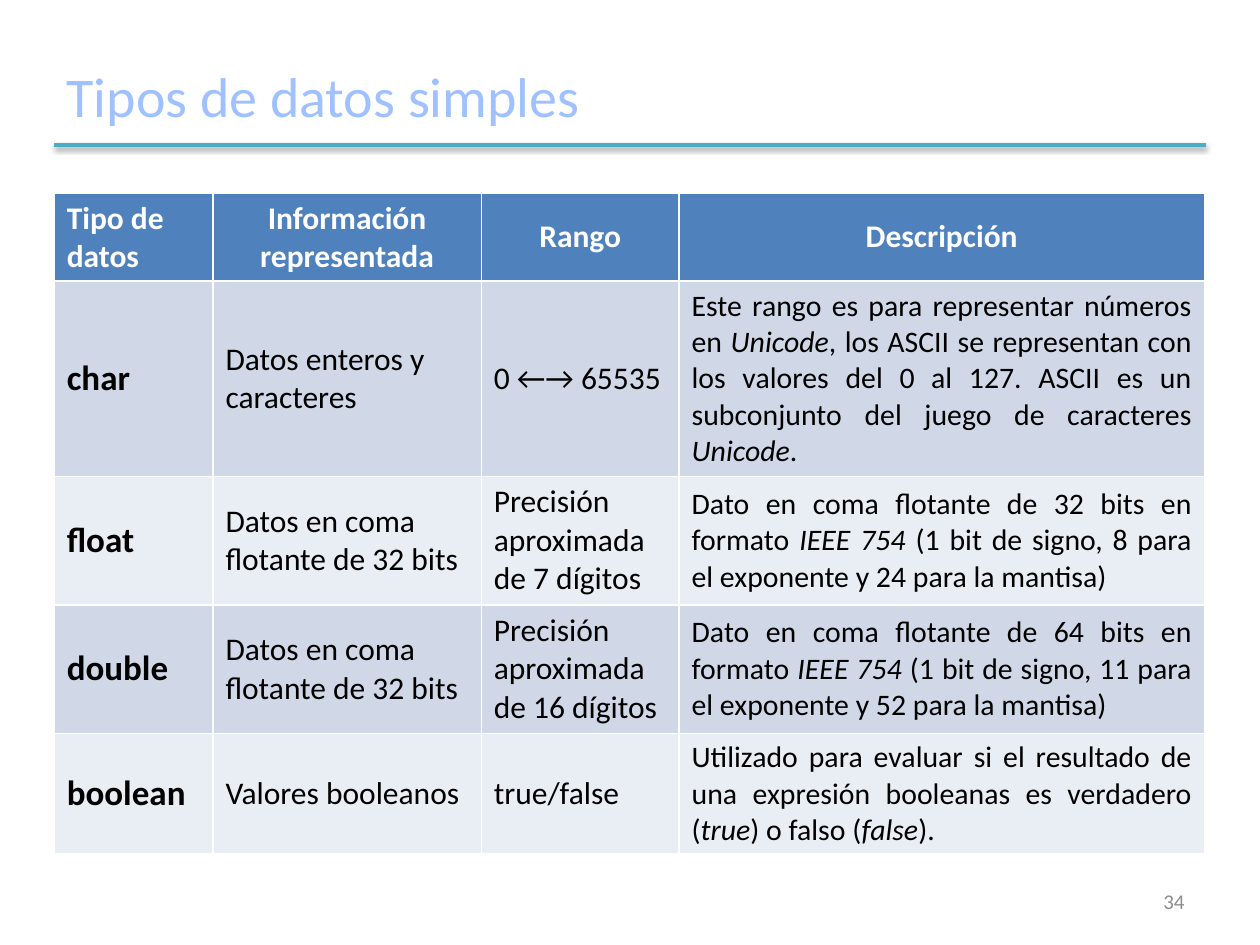
from lxml import etree
from pptx import Presentation
from pptx.dml.color import RGBColor
from pptx.enum.shapes import MSO_CONNECTOR
from pptx.enum.text import MSO_ANCHOR, PP_ALIGN as Align
from pptx.oxml import parse_xml
from pptx.oxml.ns import nsdecls
from pptx.util import Inches, Pt

COLORS = {
    "title": "A0C1FF", "rule": "4BACC6", "header": "4F81BD",
    "band_dark": "D0D8E8", "band_light": "E9EDF4",
    "white": "FFFFFF", "black": "000000", "number": "8C8C8C",
}
FONT = "Calibri"
LEFT, RIGHT = 0.43, 9.57
COLUMN_WIDTHS = [1.26, 2.13, 1.57, 4.17]
ROW_HEIGHTS = [0.7, 1.55, 1.02, 1.02, 0.96]
BODY_SIZES = [20, 18, 18, 17]

# Asterisks enclose italic words
HEADINGS = ["Tipo de datos", "Información representada", "Rango", "Descripción"]
DATA_TYPES = [
    ["char", "Datos enteros y caracteres", "0 ←→ 65535",
     "Este rango es para representar números en *Unicode*, los ASCII se "
     "representan con los valores del 0 al 127. ASCII es un subconjunto del "
     "juego de caracteres *Unicode*."],
    ["float", "Datos en coma flotante de 32 bits",
     "Precisión aproximada de 7 dígitos",
     "Dato en coma flotante de 32 bits en formato *IEEE 754 *(1 bit de signo, "
     "8 para el exponente y 24 para la mantisa)"],
    ["double", "Datos en coma flotante de 32 bits",
     "Precisión aproximada de 16 dígitos",
     "Dato en coma flotante de 64 bits en formato *IEEE 754 *(1 bit de signo, "
     "11 para el exponente y 52 para la mantisa)"],
    ["boolean", "Valores booleanos", "true/false",
     "Utilizado para evaluar si el resultado de una expresión booleanas es "
     "verdadero (*true*) o falso (*false*)."],
]


def color(name):
    return RGBColor.from_string(COLORS[name])


def write(frame, text, size, ink, align=Align.LEFT, bold=False):
    frame.word_wrap = True
    paragraph = frame.paragraphs[0]
    paragraph.alignment = align
    for index, part in enumerate(text.split("*")):
        run = paragraph.add_run()
        run.text = part
        font = run.font
        font.name, font.size = FONT, Pt(size)
        font.bold, font.italic = bold, index % 2 == 1
        font.color.rgb = color(ink)


def add_label(slide, text, area, size, ink, align=Align.LEFT):
    label = slide.shapes.add_textbox(*map(Inches, area))
    label.text_frame.vertical_anchor = MSO_ANCHOR.MIDDLE
    write(label.text_frame, text, size, ink, align)


def add_rule(slide, y):
    rule = slide.shapes.add_connector(
        MSO_CONNECTOR.STRAIGHT, Inches(LEFT), Inches(y), Inches(RIGHT), Inches(y))
    rule.line.color.rgb = color("rule")
    rule.line.width = Pt(2)
    # Soft shadow straight below the rule
    effects = parse_xml(f"<a:effectLst {nsdecls('a')}/>")
    shadow = etree.SubElement(
        effects, effects.tag.replace("effectLst", "outerShdw"),
        blurRad=str(Pt(3.1)), dist=str(Pt(1.6)), dir="5400000", rotWithShape="0")
    shade = etree.SubElement(
        shadow, effects.tag.replace("effectLst", "srgbClr"), val=COLORS["black"])
    etree.SubElement(
        shade, effects.tag.replace("effectLst", "alpha"), val="38000")
    rule._element.spPr.append(effects)


def fill_cell(cell, text, fill, size, ink, align, bold):
    cell.fill.solid()
    cell.fill.fore_color.rgb = color(fill)
    cell.vertical_anchor = MSO_ANCHOR.MIDDLE
    write(cell.text_frame, text, size, ink, align, bold)


def add_type_table(slide, top):
    rows = [HEADINGS] + DATA_TYPES
    table = slide.shapes.add_table(
        len(rows), len(HEADINGS), Inches(LEFT), Inches(top),
        Inches(sum(COLUMN_WIDTHS)), Inches(sum(ROW_HEIGHTS))).table
    for column, width in zip(table.columns, COLUMN_WIDTHS):
        column.width = Inches(width)
    for row, height in zip(table.rows, ROW_HEIGHTS):
        row.height = Inches(height)

    # Header row
    for c, heading in enumerate(HEADINGS):
        align = Align.CENTER if c else Align.LEFT
        fill_cell(table.cell(0, c), heading, "header", 18, "white", align, True)

    # One banded row per data type, with its name in bold
    for r, details in enumerate(DATA_TYPES, start=1):
        band = "band_dark" if r % 2 else "band_light"
        for c, (text, size) in enumerate(zip(details, BODY_SIZES)):
            align = Align.JUSTIFY if c == 3 else Align.LEFT
            fill_cell(table.cell(r, c), text, band, size, "black", align, c == 0)


def main():
    deck = Presentation()
    deck.slide_width, deck.slide_height = Inches(10), Inches(7.5)
    slide = deck.slides.add_slide(deck.slide_layouts[6])
    add_label(slide, "Tipos de datos simples", (LEFT, 0.36, 9.15, 0.79), 32, "title")
    add_rule(slide, 1.15)
    add_type_table(slide, 1.53)
    add_label(slide, "34", (7.17, 6.95, 2.33, 0.4), 12, "number", Align.RIGHT)
    deck.save("out.pptx")


if __name__ == "__main__":
    main()
